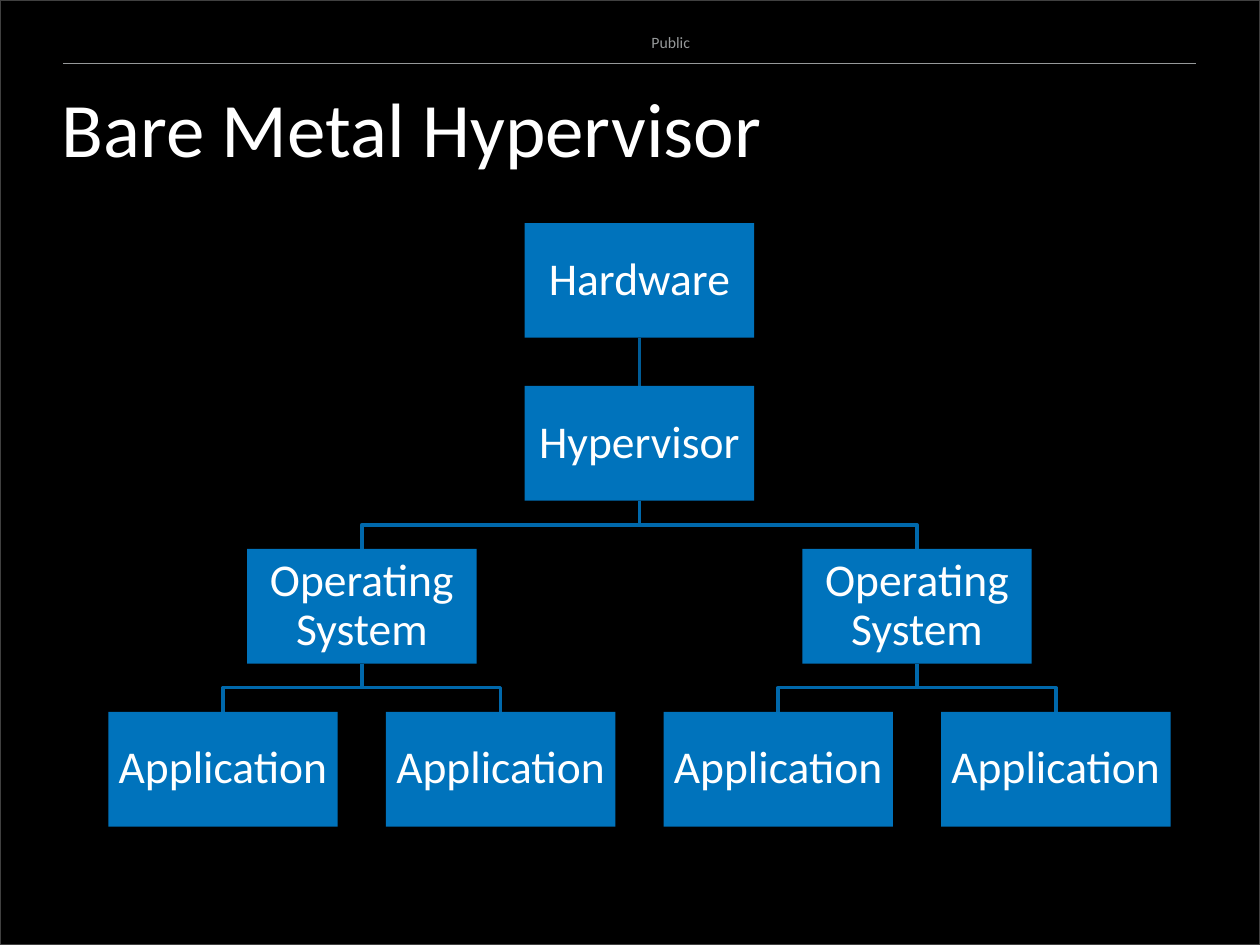
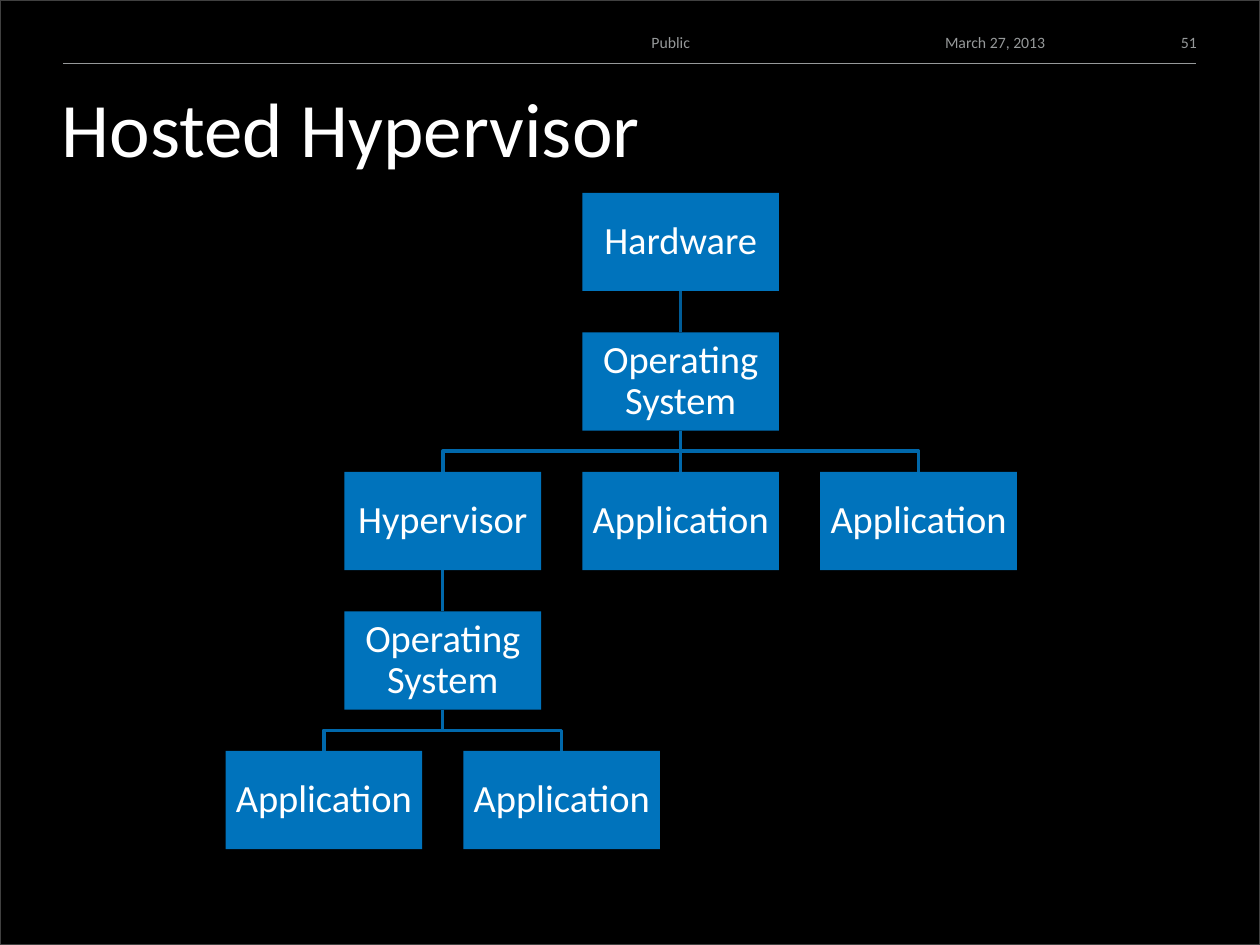
from dataclasses import dataclass

from lxml import etree
from pptx import Presentation
from pptx.dml.color import RGBColor
from pptx.enum.shapes import MSO_CONNECTOR, MSO_SHAPE
from pptx.enum.text import MSO_ANCHOR, MSO_AUTO_SIZE, PP_ALIGN
from pptx.oxml.ns import qn
from pptx.util import Inches, Pt

BLACK = RGBColor(0x00, 0x00, 0x00)
WHITE = RGBColor(0xFF, 0xFF, 0xFF)
GREY = RGBColor(0x96, 0x99, 0x9A)
EDGE = RGBColor(0x40, 0x40, 0x40)
BLUE = RGBColor(0x00, 0x73, 0xBC)
LINK = RGBColor(0x00, 0x68, 0xAB)
STEM = RGBColor(0x00, 0x5C, 0x97)

RECT = MSO_SHAPE.RECTANGLE
LINE = MSO_CONNECTOR.STRAIGHT
TOP, MIDDLE = MSO_ANCHOR.TOP, MSO_ANCHOR.MIDDLE
LEFT, CENTER, RIGHT = PP_ALIGN.LEFT, PP_ALIGN.CENTER, PP_ALIGN.RIGHT
FIXED = MSO_AUTO_SIZE.NONE

WIDE, HIGH = Inches(10), Inches(7.5)
FONT = "Calibri"
TITLE_ONLY = 5
COL_STEP, ROW_STEP = 1.21, 1.42
ROOT_COL = 1.5


@dataclass
class Node:
    """A labelled box, its children, and the columns between them."""
    label: str
    kids: tuple = ()
    step: int = 1


@dataclass
class Grid:
    """Places tree boxes by column and row inside an area."""
    area: tuple
    cols: float
    rows: int

    def cell(self, col, row):
        """Return left, top, width and height of one tree box."""
        left, top, width, height = self.area
        wide = width / (1 + (self.cols - 1) * COL_STEP)
        high = height / (1 + (self.rows - 1) * ROW_STEP)
        return (round(left + col * COL_STEP * wide),
                round(top + row * ROW_STEP * high), round(wide), round(high))


def share(left, top, width, height):
    """Turn percentages of the slide into lengths."""
    return (round(WIDE * left / 100), round(HIGH * top / 100),
            round(WIDE * width / 100), round(HIGH * height / 100))


def write(shape, text, size, color, align=LEFT, anchor=TOP, inset=(0, 0, 0, 0)):
    """Set one formatted run of text in a shape."""
    frame = shape.text_frame
    frame.word_wrap = True
    frame.auto_size = FIXED
    frame.vertical_anchor = anchor
    (frame.margin_left, frame.margin_top,
     frame.margin_right, frame.margin_bottom) = map(Inches, inset)
    para = frame.paragraphs[0]
    para.alignment = align
    run = para.add_run()
    run.text = text
    run.font.name = FONT
    run.font.size = Pt(size)
    run.font.color.rgb = color
    return para


def rule(slide, start, end, color, weight):
    """Draw a straight line without a shadow."""
    line = slide.shapes.add_connector(LINE, *start, *end)
    line.line.color.rgb = color
    line.line.width = Pt(weight)
    etree.SubElement(line._element.spPr, qn("a:effectLst"))


def note(slide, box, text, **style):
    """Add a small grey label to the header."""
    write(slide.shapes.add_textbox(*box), text, 9, GREY, **style)


def header(slide, date, number):
    """Draw the slide edge, header rule and header labels."""
    edge = slide.shapes.add_shape(RECT, 0, 0, WIDE, HIGH)
    edge.shadow.inherit = False
    edge.fill.background()
    edge.line.color.rgb = EDGE
    edge.line.width = Pt(1.5)
    left, top, width, _ = share(5, 6.67, 89.9, 0)
    rule(slide, (left, top), (left + width, top), GREY, 0.5)
    note(slide, share(51.7, 2.8, 17.5, 3.33), "Public", inset=(0, 0.05, 0.1, 0.05))
    if date:
        note(slide, share(75, 2.8, 17.5, 3.33), date, inset=(0, 0.05, 0, 0))
    if number:
        note(slide, share(90, 2.8, 5, 3.33), number, align=RIGHT, anchor=MIDDLE)


def heading(slide, text):
    """Place and fill the title placeholder."""
    title = slide.shapes.title
    title.left, title.top, title.width, title.height = share(4.9, 8.27, 90.3, 11.47)
    write(title, text, 44, WHITE, inset=(0, 0.02, 0, 0))


def link(slide, upper, lower, color):
    """Join the foot of one tree box to the head of another."""
    left, top, width, height = upper
    start = left + width // 2, top + height
    end = lower[0] + width // 2, lower[1]
    if start[0] == end[0]:
        rule(slide, start, end, color, 2)
        return
    bend = (start[1] + end[1]) // 2
    path = slide.shapes.build_freeform(*start)
    path.add_line_segments([(start[0], bend), (end[0], bend), end], close=False)
    elbow = path.convert_to_shape()
    elbow.shadow.inherit = False
    elbow.fill.background()
    elbow.line.color.rgb = color
    elbow.line.width = Pt(2)


def branch(slide, grid, node, size, col=ROOT_COL, row=0):
    """Draw a node over the links to its children."""
    cell = grid.cell(col, row)
    first = col - node.step * (len(node.kids) - 1) / 2
    for index, kid in enumerate(node.kids):
        spot = first + index * node.step
        link(slide, cell, grid.cell(spot, row + 1), LINK if row else STEM)
        branch(slide, grid, kid, size, spot, row + 1)
    box = slide.shapes.add_shape(RECT, *cell)
    box.shadow.inherit = False
    box.fill.solid()
    box.fill.fore_color.rgb = BLUE
    box.line.fill.background()
    para = write(box, node.label, size, WHITE, CENTER, MIDDLE, (0.02,) * 4)
    para.line_spacing = 0.9


def chart(deck, title, grid, root, size, date="", number=""):
    """Add one slide with a header, a title and a tree."""
    slide = deck.slides.add_slide(deck.slide_layouts[TITLE_ONLY])
    header(slide, date, number)
    heading(slide, title)
    branch(slide, grid, root, size)


def main():
    """Build and save the deck."""
    deck = Presentation()
    deck.slide_width, deck.slide_height = WIDE, HIGH
    fill = deck.slide_master.background.fill
    fill.solid()
    fill.fore_color.rgb = BLACK

    app = Node("Application")
    guest = Node("Operating System", (app, app))
    bare = Node("Hardware", (Node("Hypervisor", (guest, guest), 2),))
    host = Node("Operating System", (Node("Hypervisor", (guest,)), app, app))
    hosted = Node("Hardware", (host,))

    chart(deck, "Bare Metal Hypervisor",
          Grid(share(8.6, 23.6, 84.3, 63.87), 4, 4), bare, 26)
    chart(deck, "Hosted Hypervisor",
          Grid(share(17.9, 20.4, 62.8, 69.47), 3.5, 5), hosted, 22,
          "March 27, 2013", "51")
    deck.save("out.pptx")


if __name__ == "__main__":
    main()
